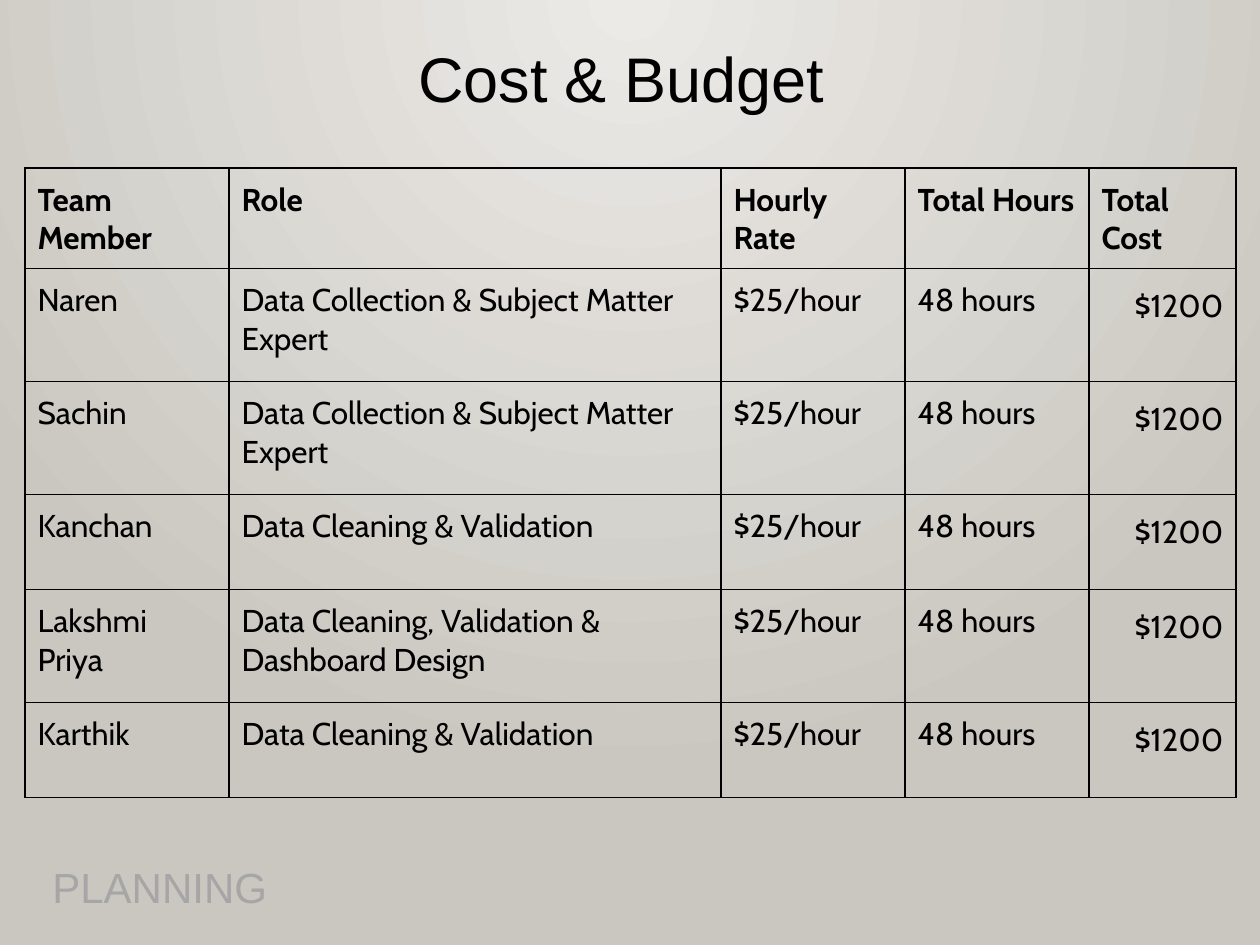
from lxml import etree
from pptx import Presentation
from pptx.dml.color import RGBColor
from pptx.enum.text import MSO_ANCHOR as Anchor, PP_ALIGN as Align
from pptx.oxml import parse_xml
from pptx.oxml.ns import nsdecls, qn
from pptx.util import Emu, Pt

PX_PER_INCH = 126
INK = RGBColor(0x00, 0x00, 0x00)
MUTED = RGBColor(0xA6, 0xA6, 0xA6)
GLOW = RGBColor(0xEC, 0xEA, 0xE7)
STONE = RGBColor(0xCA, 0xC7, 0xC1)

HEADINGS = ["Team Member", "Role", "Hourly Rate", "Total Hours", "Total Cost"]
COLLECTION = "Data Collection & Subject Matter Expert"
CLEANING = "Data Cleaning & Validation"
MEMBERS = [
    ("Naren", COLLECTION),
    ("Sachin", COLLECTION),
    ("Kanchan", CLEANING),
    ("Lakshmi Priya", "Data Cleaning, Validation & Dashboard Design"),
    ("Karthik", CLEANING),
]
SHARED_TERMS = ("$25/hour", "48 hours", "$1200")
COLUMN_WIDTHS = [204, 492, 184, 184, 147]
ROW_HEIGHTS = [50, 113, 113, 95, 113, 95]


def px(length):
    return Emu(round(length * 914400 / PX_PER_INCH))


def add_run(paragraph, text, font_name, size, color, bold=False):
    run = paragraph.add_run()
    run.text = text
    run.font.name = font_name
    run.font.size = Pt(size)
    run.font.bold = bold
    run.font.color.rgb = color


def add_background(slide):
    fill = slide.background.fill
    fill.gradient()
    for stop, color in zip(fill.gradient_stops, (GLOW, STONE)):
        stop.color.rgb = color
    # Replace the linear direction with a circle centred on the top edge
    gradient = slide.element.find(".//" + qn("a:gradFill"))
    gradient.remove(gradient.find(qn("a:lin")))
    circle = etree.SubElement(gradient, qn("a:path"), path="circle")
    etree.SubElement(circle, qn("a:fillToRect"), l="43000", t="0", r="43000", b="100000")


def add_label(slide, box, text, size, color, align, line_spacing):
    frame = slide.shapes.add_textbox(*map(px, box)).text_frame
    frame.word_wrap = True
    frame.vertical_anchor = Anchor.MIDDLE
    paragraph = frame.paragraphs[0]
    paragraph.alignment = align
    paragraph.line_spacing = line_spacing
    add_run(paragraph, text, "Arial", size, color)


def add_borders(cell):
    properties = cell._tc.get_or_add_tcPr()
    for index, side in enumerate(("lnL", "lnR", "lnT", "lnB")):
        properties.insert(index, parse_xml(
            f'<a:{side} {nsdecls("a")} w="{Pt(0.75)}"><a:solidFill>'
            f'<a:srgbClr val="{INK}"/></a:solidFill></a:{side}>'))


def fill_cell(cell, text, is_heading, is_cost):
    cell.fill.background()
    cell.margin_left = cell.margin_right = px(12.6)
    cell.margin_top = cell.margin_bottom = px(12.6)
    paragraph = cell.text_frame.paragraphs[0]
    if is_cost:
        paragraph.alignment = Align.RIGHT
        paragraph.line_spacing = 1.15
    add_run(paragraph, text, "Cabin", 18, INK, is_heading)
    add_borders(cell)


def add_cost_table(slide, left, top):
    rows = [HEADINGS] + [member + SHARED_TERMS for member in MEMBERS]
    table = slide.shapes.add_table(
        len(rows), len(HEADINGS), px(left), px(top),
        px(sum(COLUMN_WIDTHS)), px(sum(ROW_HEIGHTS))).table
    table.first_row = table.horz_banding = False
    for column, width in zip(table.columns, COLUMN_WIDTHS):
        column.width = px(width)
    for row_index, texts in enumerate(rows):
        table.rows[row_index].height = px(ROW_HEIGHTS[row_index])
        for column_index, text in enumerate(texts):
            is_heading = row_index == 0
            is_cost = not is_heading and column_index == len(texts) - 1
            fill_cell(table.cell(row_index, column_index), text, is_heading, is_cost)


def main():
    presentation = Presentation()
    presentation.slide_width = px(1260)
    presentation.slide_height = px(945)
    slide = presentation.slides.add_slide(presentation.slide_layouts[6])

    add_background(slide)
    # Title
    add_label(slide, (0, 29, 1260, 106), "Cost & Budget ", 36, INK, Align.CENTER, 0.9)
    # Team costs
    add_cost_table(slide, 25, 168)
    # Phase name in the footer
    add_label(slide, (40, 856, 400, 61), "PLANNING", 24, MUTED, Align.LEFT, 1.0)

    presentation.save("out.pptx")


if __name__ == "__main__":
    main()
